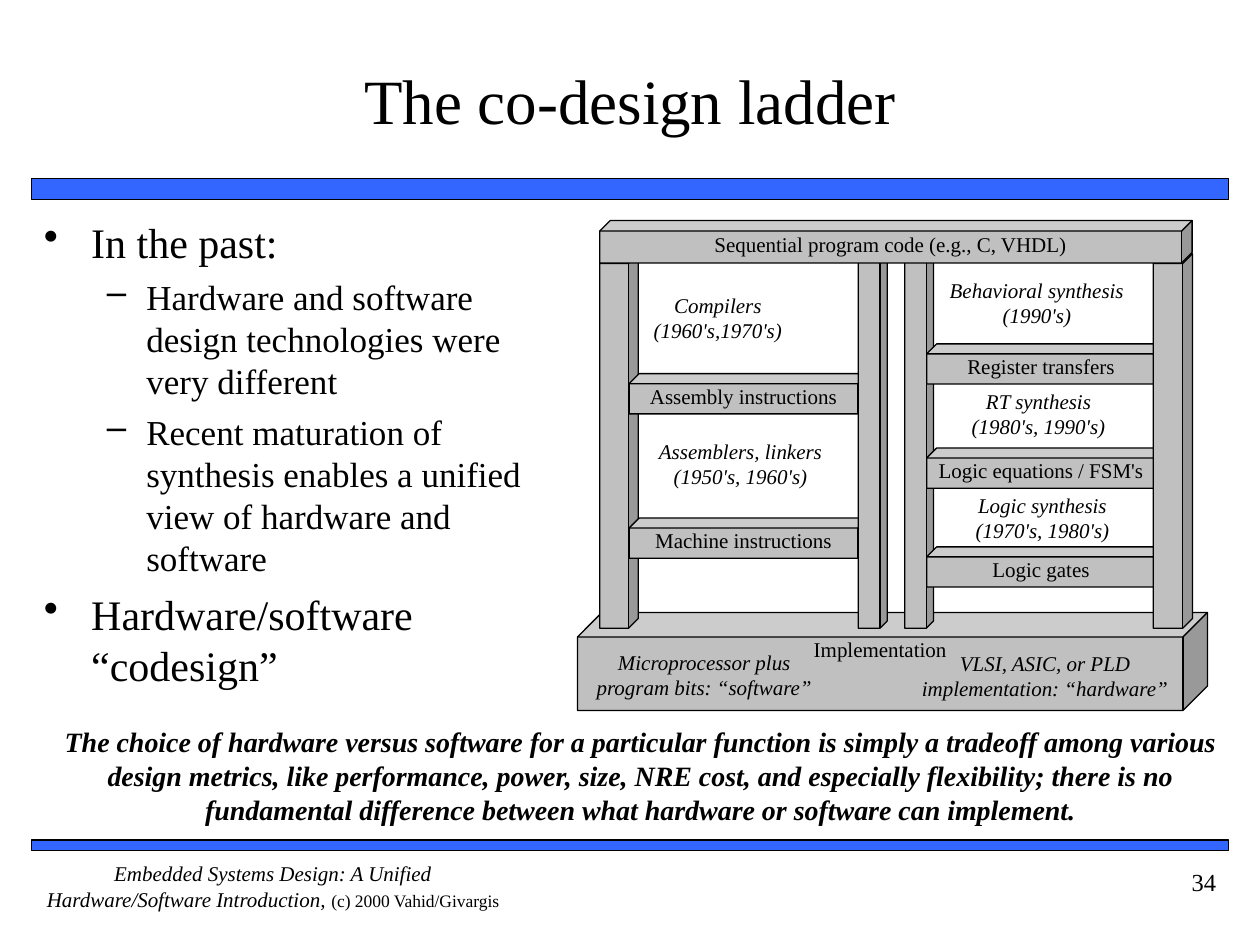
from lxml.etree import SubElement
from pptx import Presentation
from pptx.dml.color import RGBColor
from pptx.enum.shapes import MSO_SHAPE as Kind
from pptx.enum.text import MSO_ANCHOR as Anchor, PP_ALIGN as Align
from pptx.oxml.ns import qn
from pptx.util import Pt

BLACK = RGBColor(0, 0, 0)
BLUE = RGBColor(0x33, 0x66, 0xFF)
GRAY = RGBColor(0xC0, 0xC0, 0xC0)
FACE = "Times New Roman"

deck = Presentation()
deck.slide_width, deck.slide_height = Pt(720), Pt(540)
slide = deck.slides.add_slide(deck.slide_layouts[6])
shapes = slide.shapes


def write(shape, lines, size=12, italic=False, align=Align.CENTER, anchor=Anchor.TOP, pad=(0, 0)):
    frame = shape.text_frame
    frame.word_wrap = True
    frame.vertical_anchor = anchor
    frame.margin_left = frame.margin_right = Pt(pad[0])
    frame.margin_top = frame.margin_bottom = Pt(pad[1])
    frame.text = lines
    for para in frame.paragraphs:
        para.alignment = align
        font = para.font
        font.name, font.size, font.italic = FACE, Pt(size), italic
        font.color.rgb = BLACK
    return frame


def block(kind, box, fill, width, label=""):
    shape = shapes.add_shape(kind, *map(Pt, box))
    shape.shadow.inherit = False
    shape.fill.solid()
    shape.fill.fore_color.rgb = fill
    shape.line.color.rgb = BLACK
    shape.line.width = Pt(width)
    if label:
        write(shape, label)


for top, high in ((102, 12), (480, 6)):
    block(Kind.RECTANGLE, (18, top, 684, high), BLUE, 1)

foot = shapes.add_textbox(Pt(18), Pt(492), Pt(276), Pt(36))
para = write(foot, "Embedded Systems Design: A Unified Hardware/Software Introduction, ").paragraphs[0]
para.runs[0].font.italic = True
run = para.add_run()
run.text = "(c) 2000 Vahid/Givargis"
run.font.size = Pt(10)

title = shapes.add_textbox(Pt(30), Pt(12), Pt(660), Pt(90))
write(title, "The co-design ladder", 36, anchor=Anchor.MIDDLE, pad=(0, 3.6))

items = (
    (0, "In the past:"),
    (1, "Hardware and software design technologies were very different"),
    (1, "Recent maturation of synthesis enables a unified view of hardware and software"),
    (0, "Hardware/software “codesign”"),
)
styles = ((24, 6, 27, -27, "•"), (20, 5, 58.5, -22.5, "–"))
body = shapes.add_textbox(Pt(18), Pt(120), Pt(312), Pt(300))
frame = write(body, "\n".join(text for _, text in items), align=Align.LEFT, pad=(7.2, 3.6))
for para, (level, _) in zip(frame.paragraphs, items):
    size, gap, left, hang, mark = styles[level]
    para.level = level
    para.font.size = Pt(size)
    para.space_before = Pt(gap)
    props = para._p.get_or_add_pPr()
    props.set("marL", str(Pt(left)))
    props.set("indent", str(Pt(hang)))
    bullet = SubElement(props, qn("a:buChar"))
    bullet.set("char", mark)
    props.insert_element_before(bullet, "a:tabLst", "a:defRPr", "a:extLst")

LEFT, RIGHT = 359.5, 529.5
POST, RUNG = (145, 214), (136.5, 23)
cubes = (
    (330, 350, 360, 56, "Implementation"),
    (342.75, POST[0], 22, POST[1], ""),
    (517, POST[0], 16.5, POST[1], ""),
    (LEFT, 213.5, *RUNG, "Assembly instructions"),
    (LEFT, 296, *RUNG, "Machine instructions"),
    (RIGHT, 196.5, *RUNG, "Register transfers"),
    (RIGHT, 312.5, *RUNG, "Logic gates"),
    (RIGHT, 256, *RUNG, "Logic equations / FSM's"),
    (490.5, POST[0], 16.5, POST[1], ""),
    (659, POST[0], 22.5, POST[1], ""),
    (342.75, 126, 338.5, 24.25, "Sequential program code (e.g., C, VHDL)"),
)
for *box, label in cubes:
    block(Kind.CUBE, box, GRAY, 0.75, label)

notes = (
    (367, 167, 86.5, 31, "Compilers\n(1960's,1970's)"),
    (365, 250.5, 116.5, 38, "Assemblers, linkers\n(1950's, 1960's)"),
    (535, 158.5, 115, 32, "Behavioral synthesis\n(1990's)"),
    (545, 222, 97, 34, "RT synthesis\n(1980's, 1990's)"),
    (545, 281.5, 101.5, 30, "Logic synthesis\n(1970's, 1980's)"),
    (333, 371, 139, 37, "Microprocessor plus program bits: “software”"),
    (525.5, 371.5, 143.5, 30, "VLSI, ASIC, or PLD implementation: “hardware”"),
)
for *box, label in notes:
    write(shapes.add_textbox(*map(Pt, box)), label, italic=True)

claim = shapes.add_textbox(Pt(24), Pt(420), Pt(684), Pt(46))
para = write(
    claim,
    "The choice of hardware versus software for a particular function is simply a tradeoff "
    "among various design metrics, like performance, power, size, NRE cost, and especially "
    "flexibility; there is no fundamental difference between what hardware or software can implement.",
    16, True, anchor=Anchor.MIDDLE,
).paragraphs[0]
para.font.bold = True
para.space_before = Pt(10)

page = shapes.add_textbox(Pt(630), Pt(492), Pt(72), Pt(36))
para = write(page, "34", 14, align=Align.RIGHT, pad=(7.2, 3.6)).paragraphs[0]
para.space_before = Pt(8.8)

deck.save("out.pptx")
